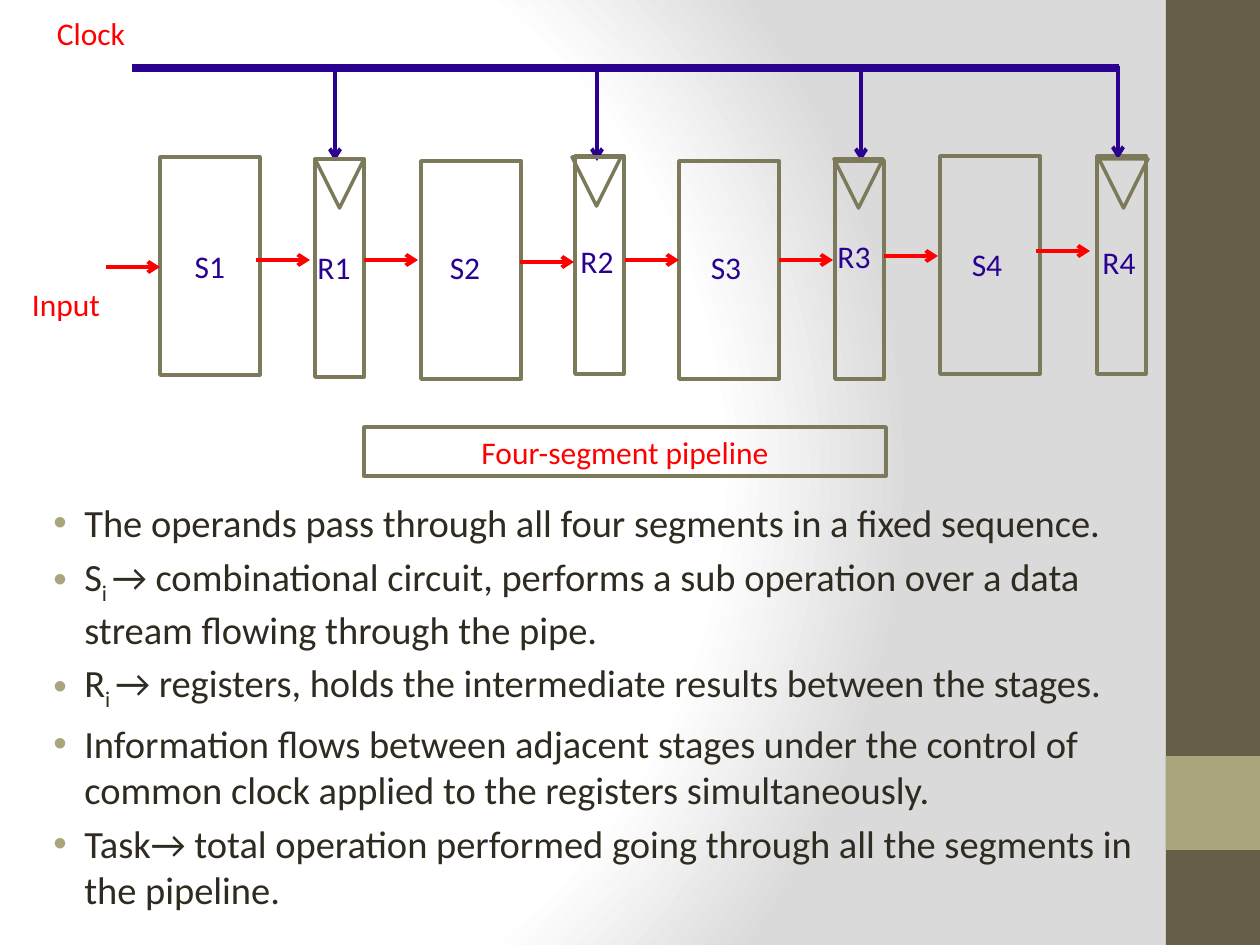
"""Build a slide showing a four-segment pipeline with clocked registers."""
import lxml.etree
import pptx
import pptx.dml.color
import pptx.enum.shapes
import pptx.enum.text
import pptx.oxml
import pptx.oxml.ns
import pptx.util

THEME = {
    "font": "Calibri", "label": 18, "body": 22, "outline": 2, "arrow": 2.25, "bus": 4.5,
    "navy": "2B0290", "red": "FF0000", "olive": "7D7A5C", "ink": "2F2B20",
    "bullet": "A9A57C", "band": "675E47", "accent": "A9A57C",
    "backdrop": [(0, "FFFFFF"), (75, "FFFFFF"), (100, "DADADA")],
}
BANDS = [("band", (1166, 0, 94, 945)), ("accent", (1166, 756, 94, 94))]
STAGES = [(160, 157), (421, 161), (679, 161), (940, 156)]
STAGE_SIZE = (100, 218)
REGISTERS = [(315, 159), (575, 156), (835, 161), (1097, 156)]
REGISTER_SIZE = (49, 218)
CLOCK_MARKS = [(315, 159), (572, 157), (834, 159), (1099, 159)]
MARK_SIZE = (49, 49)
LABELS = [
    ("S2", (436, 242)), ("S3", (697, 242)), ("S4", (958, 239)),
    ("R1", (305, 242)), ("R2", (568, 236)), ("R3", (825, 231)), ("R4", (1090, 237)),
]
LABEL_SIZE = (58, 50)
FLOWS = [(106, 267), (256, 260), (364, 260), (520, 262),
         (625, 260), (779, 260), (884, 256), (1036, 251)]
FLOW_LENGTH = 54
BUS = (132, 68, 1119, 68)
DROPS = [(335, 68), (597, 68), (861, 68), (1118, 66)]
DROP_LENGTH = 93
CAPTIONS = [("Clock", (4, 0, 174, 66)), ("Input", (-2, 271, 136, 66))]
TITLE = ("Four-segment pipeline", (364, 427, 522, 49))
NOTES_AREA = (25, 493, 1124, 389)
NOTES = [
    [("The operands pass through all four segments in a fixed sequence.", 0)],
    [("S", 0), ("i ", -25), ("→ combinational circuit, performs a sub operation over "
                             "a data stream flowing through the pipe.", 0)],
    [("R", 0), ("i ", -25), ("→ registers, holds the intermediate results between "
                             "the stages.", 0)],
    [("Information flows between adjacent stages under the control of common clock "
      "applied to the registers simultaneously.", 0)],
    [("Task→ total operation performed going through all the segments in the pipeline.", 0)],
]
SHAPES = pptx.enum.shapes.MSO_SHAPE
ANCHOR = pptx.enum.text.MSO_ANCHOR
CENTER = pptx.enum.text.PP_ALIGN.CENTER
NAMESPACE = pptx.oxml.ns.nsdecls("a")


def px(*lengths):
    return [pptx.util.Emu(round(length * 914400 / 126)) for length in lengths]


def rgb(name):
    return pptx.dml.color.RGBColor.from_string(THEME[name])


def apply(target, values):
    for name, value in values.items():
        setattr(target, name, value)


def add_span(para, text, size, color, baseline=0):
    span = para.add_run()
    span.text = text
    apply(span.font, {"name": THEME["font"], "size": pptx.util.Pt(THEME[size])})
    span.font.color.rgb = rgb(color)
    if baseline:
        span.font._element.set("baseline", str(baseline * 1000))


def write_label(box, text, color, **frame):
    apply(box.text_frame, {"word_wrap": True, **frame})
    para = box.text_frame.paragraphs[0]
    para.alignment = CENTER
    add_span(para, text, "label", color)


def add_shape(page, kind, area, fill=None):
    shape = page.shapes.add_shape(kind, *px(*area))
    shape.shadow.inherit = False
    if fill:
        shape.fill.solid()
        shape.fill.fore_color.rgb = rgb(fill)
        shape.line.fill.background()
    else:
        shape.fill.background()
        shape.line.color.rgb = rgb("olive")
        shape.line.width = pptx.util.Pt(THEME["outline"])
    return shape


def add_line(page, ends, color, width="arrow", arrow=True):
    line = page.shapes.add_connector(pptx.enum.shapes.MSO_CONNECTOR.STRAIGHT, *px(*ends))
    line.line.color.rgb = rgb(color)
    line.line.width = pptx.util.Pt(THEME[width])
    properties = line._element.spPr
    if arrow:
        head = pptx.oxml.parse_xml(f'<a:tailEnd {NAMESPACE} type="arrow"/>')
        properties.find(pptx.oxml.ns.qn("a:ln")).append(head)
    lxml.etree.SubElement(properties, pptx.oxml.ns.qn("a:effectLst"))


def paint_background(page):
    fill = page.background.fill
    fill.gradient()
    stops = "".join(f'<a:gs pos="{place * 1000}"><a:srgbClr val="{color}"/></a:gs>'
                    for place, color in THEME["backdrop"])
    gradient = pptx.oxml.parse_xml(
        f'<a:gradFill {NAMESPACE} rotWithShape="1"><a:gsLst>{stops}</a:gsLst>'
        '<a:path path="circle"><a:fillToRect l="20000" t="50000" r="100000" b="50000"/>'
        '</a:path></a:gradFill>')
    old = next(page._element.iter(pptx.oxml.ns.qn("a:gradFill")))
    old.getparent().replace(old, gradient)


def add_pipeline(page):
    stages = [add_shape(page, SHAPES.RECTANGLE, spot + STAGE_SIZE) for spot in STAGES]
    write_label(stages[0], "S1", "navy", vertical_anchor=ANCHOR.MIDDLE)
    for spot in REGISTERS:
        add_shape(page, SHAPES.RECTANGLE, spot + REGISTER_SIZE)
    for text, spot in LABELS:
        box = page.shapes.add_textbox(*px(*spot, *LABEL_SIZE))
        write_label(box, text, "navy", word_wrap=False,
                    auto_size=pptx.enum.text.MSO_AUTO_SIZE.SHAPE_TO_FIT_TEXT)
    for x, y in FLOWS:
        add_line(page, (x, y, x + FLOW_LENGTH, y), "red")
    add_line(page, BUS, "navy", "bus", arrow=False)
    for x, y in DROPS:
        add_line(page, (x, y, x, y + DROP_LENGTH), "navy")
    for spot in CLOCK_MARKS:
        add_shape(page, SHAPES.ISOSCELES_TRIANGLE, spot + MARK_SIZE).rotation = 180
    for text, area in CAPTIONS:
        box = page.shapes.add_textbox(*px(*area))
        write_label(box, text, "red", vertical_anchor=ANCHOR.MIDDLE)
    text, area = TITLE
    write_label(add_shape(page, SHAPES.RECTANGLE, area), text, "red",
                vertical_anchor=ANCHOR.MIDDLE)


def add_notes(page):
    frame = page.shapes.add_textbox(*px(*NOTES_AREA)).text_frame
    frame.word_wrap = True
    for index, spans in enumerate(NOTES):
        para = frame.add_paragraph() if index else frame.paragraphs[0]
        para.space_before = pptx.util.Pt(THEME["body"] * 0.2)
        properties = para._p.get_or_add_pPr()
        indent, hanging = px(47, -31)
        properties.set("marL", str(indent))
        properties.set("indent", str(hanging))
        for bullet in (
            f'<a:buClr {NAMESPACE}><a:srgbClr val="{THEME["bullet"]}"/></a:buClr>',
            f'<a:buFont {NAMESPACE} typeface="Arial"/>',
            f'<a:buChar {NAMESPACE} char="•"/>',
        ):
            properties.append(pptx.oxml.parse_xml(bullet))
        for text, baseline in spans:
            add_span(para, text, "body", "ink", baseline)


def main():
    deck = pptx.Presentation()
    width, height = px(1260, 945)
    apply(deck, {"slide_width": width, "slide_height": height})
    page = deck.slides.add_slide(deck.slide_layouts[6])
    paint_background(page)
    for color, area in BANDS:
        add_shape(page, SHAPES.RECTANGLE, area, color)
    add_pipeline(page)
    add_notes(page)
    deck.save("out.pptx")


if __name__ == "__main__":
    main()
